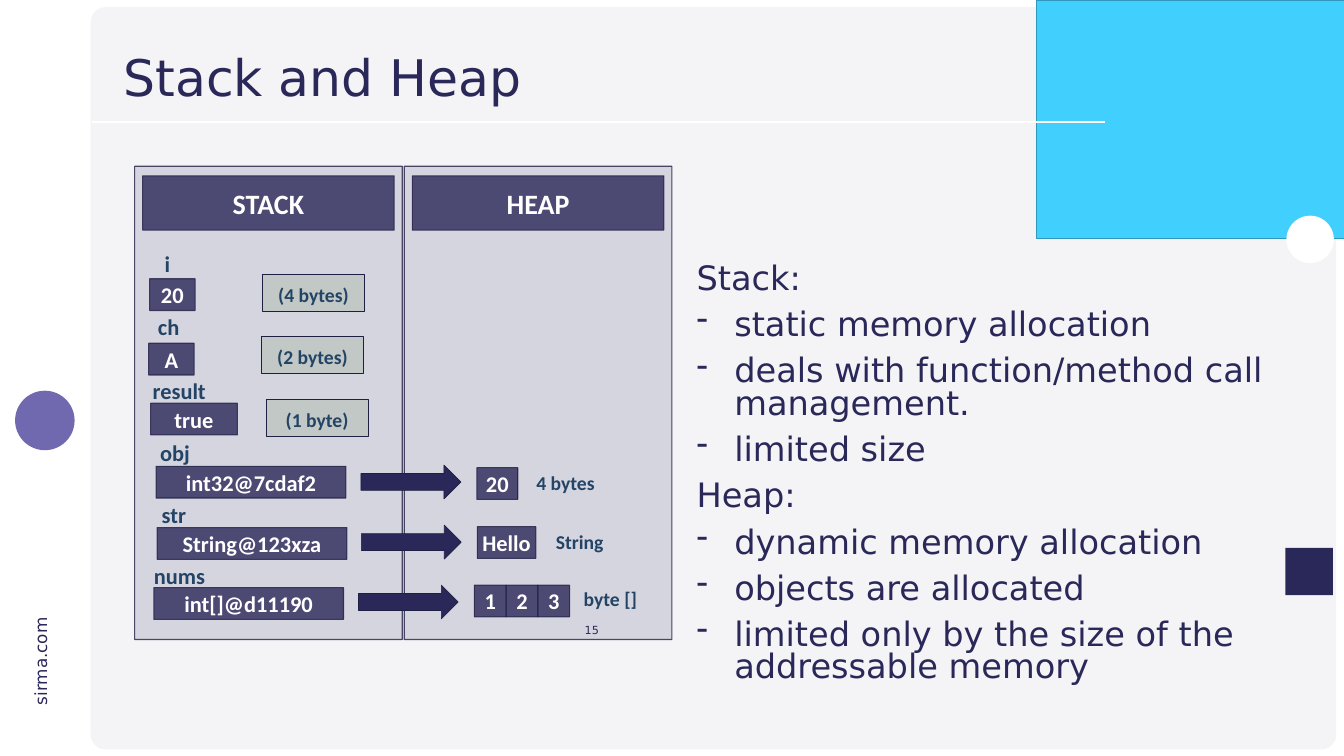
from lxml.etree import SubElement
from pptx import Presentation
from pptx.dml.color import RGBColor
from pptx.enum.shapes import MSO_CONNECTOR, MSO_SHAPE
from pptx.enum.text import MSO_ANCHOR as Anchor, MSO_AUTO_SIZE as AutoSize, PP_ALIGN as Align
from pptx.oxml.ns import qn
from pptx.util import Cm, Pt

NAVY = RGBColor(0x2A, 0x28, 0x59)
EDGE = RGBColor(0x1F, 0x1E, 0x43)
LABEL = RGBColor(0x23, 0x44, 0x65)
GREEN = RGBColor(0x54, 0x82, 0x35)
PALE = RGBColor(0xF4, 0xF4, 0xF7)
CYAN = RGBColor(0x41, 0xCF, 0xFD)
CYAN_EDGE = RGBColor(0x30, 0x99, 0xBB)
PURPLE = RGBColor(0x71, 0x69, 0xB0)
WHITE = RGBColor(0xFF, 0xFF, 0xFF)
SANS, CALIBRI = "DejaVu Sans", "Calibri"

# Content; positions in cm
TITLE = "Stack and Heap"
NOTES = [
    ("Stack:", ["static memory allocation",
                "deals with function/method call management.",
                "limited size"]),
    ("Heap:", ["dynamic memory allocation",
               "objects are allocated",
               "limited only by the size of the addressable memory"]),
]
COLUMNS = [("HEAP", 20.37), ("STACK", 6.78)]
# name, (left, top, width), value, (left, top, width), size note, (left, top)
VALUES = [
    ("i", (7.26, 12.19, 2.36), "20", (7.54, 14.05, 2.29), "(4 bytes)", (13.23, 13.82)),
    ("ch", (7.32, 15.37, 2.36), "A", (7.49, 17.3, 2.29), "(2 bytes)", (13.18, 16.97)),
    ("result", (7.11, 18.57, 3.84), "true", (7.59, 20.32, 4.37), "(1 byte)", (13.41, 20.12)),
]
# name, (left, top), address, (left, top), arrow (left, top),
# heap cells, (left, top, cell width), type, (left, top)
REFERENCES = [
    ("obj", (6.68, 21.67), "int32@7cdaf2", (7.87, 23.5), (18.19, 23.44),
     ["20"], (24.03, 23.57, 2.06), "4 bytes", (25.93, 23.29)),
    ("str", (6.63, 24.84), "String@123xza", (7.92, 26.59), (18.21, 26.47),
     ["Hello"], (24.05, 26.54, 2.95), "String", (26.64, 26.31)),
    ("nums", (6.91, 27.89), "int[]@d11190", (7.75, 29.62), (18.06, 29.49),
     ["1", "2", "3"], (23.9, 29.49, 1.6), "byte []", (28.19, 29.16)),
]
CELL_HEIGHT, NAME_HEIGHT, NOTE_HEIGHT = 1.6, 2.03, 1.85
NOTE_WIDTH, NAME_WIDTH, ADDRESS_WIDTH = 5.13, 4.27, 9.56
HEADER_INSET = 0.41


def set_font(paragraph, size, color, name=SANS, bold=False):
    font = paragraph.font
    font.size, font.name, font.bold = Pt(size), name, bold
    font.color.rgb = color


def set_alpha(fill_parent, percent):
    color = fill_parent.find(qn("a:solidFill"))[0]
    SubElement(color, qn("a:alpha")).set("val", str(percent * 1000))


def add_shape(page, kind, at, fill, line=None, weight=1, alpha=None, line_alpha=None):
    shape = page.shapes.add_shape(kind, *map(Cm, at))
    shape.shadow.inherit = False
    shape.fill.solid()
    shape.fill.fore_color.rgb = fill
    if alpha:
        set_alpha(shape._element.spPr, alpha)
    if line is None:
        shape.line.fill.background()
    else:
        shape.line.color.rgb = line
        shape.line.width = Pt(weight)
        if line_alpha:
            set_alpha(shape.line._get_or_add_ln(), line_alpha)
    return shape


def write(shape, text, size, color, name=CALIBRI, bold=True, align=Align.CENTER,
          anchor=Anchor.MIDDLE, wrap=True):
    frame = shape.text_frame
    frame.word_wrap = wrap
    frame.auto_size = AutoSize.NONE
    frame.vertical_anchor = anchor
    paragraph = frame.paragraphs[0]
    paragraph.text = text
    paragraph.alignment = align
    set_font(paragraph, size, color, name, bold)
    return paragraph


def add_block(page, at, text=None, size=32, alpha=80):
    """Translucent navy rectangle, with white text if any."""
    block = add_shape(page, MSO_SHAPE.RECTANGLE, at, NAVY, EDGE, 1.5, alpha, 80)
    if text:
        write(block, text, size, WHITE)


def write_label(shape, text, size):
    frame = shape.text_frame
    frame.margin_left = frame.margin_right = Cm(0.41)
    frame.margin_top = frame.margin_bottom = Cm(0.3)
    write(shape, text, size, LABEL, anchor=Anchor.TOP).line_spacing = 1.1


def add_label(page, at, text, size=32):
    write_label(page.shapes.add_textbox(*map(Cm, at)), text, size)


def add_background(page):
    panel = add_shape(page, MSO_SHAPE.ROUNDED_RECTANGLE, (4.57, 0.36, 62.76, 37.41), PALE)
    panel.adjustments[0] = 0.02
    site = page.shapes.add_textbox(Cm(-0.46), Cm(32.66), Cm(5), Cm(1.27))
    site.rotation = 270
    write(site, "sirma.com", 24, NAVY, SANS, False, Align.LEFT, Anchor.TOP, wrap=False)
    add_shape(page, MSO_SHAPE.RECTANGLE, (52.22, 0, 15.52, 12.01), CYAN, CYAN_EDGE)
    add_shape(page, MSO_SHAPE.RECTANGLE, (4.65, 1.35, 46.58, 6.05), PALE)
    rule = page.shapes.add_connector(MSO_CONNECTOR.STRAIGHT, Cm(4.65), Cm(6.17), Cm(55.7), Cm(6.17))
    rule.line.color.rgb = WHITE
    rule.line.width = Pt(3)
    SubElement(rule._element.spPr, qn("a:effectLst"))
    add_shape(page, MSO_SHAPE.RECTANGLE, (64.77, 27.61, 2.39, 2.39), NAVY)
    add_shape(page, MSO_SHAPE.OVAL, (0.76, 19.69, 3, 3), PURPLE)
    add_shape(page, MSO_SHAPE.OVAL, (64.82, 10.87, 2.39, 2.39), WHITE)


def add_title(page):
    title = page.shapes.title
    page.shapes._spTree.append(title._element)  # in front of the background
    title.left, title.top, title.width, title.height = map(Cm, (5.97, 2.03, 49.71, 4.01))
    write(title, TITLE, 72, NAVY, SANS, False, Align.LEFT).line_spacing = 0.9


def add_notes(page):
    frame = page.shapes.add_textbox(Cm(34.85), Cm(13.21), Cm(29.92), Cm(22.4)).text_frame
    frame.word_wrap = True
    lines = [(text, text != heading) for heading, points in NOTES for text in [heading, *points]]
    for index, (text, bulleted) in enumerate(lines):
        paragraph = frame.add_paragraph() if index else frame.paragraphs[0]
        paragraph.text = text
        if bulleted:
            properties = paragraph._p.get_or_add_pPr()
            properties.set("marL", str(Cm(1.9)))
            properties.set("indent", str(-Cm(1.9)))
            SubElement(properties, qn("a:buChar")).set("char", "-")
        paragraph.line_spacing = 0.8
        if index:
            paragraph.space_before = Pt(20)
        set_font(paragraph, 48, NAVY)


def add_memory(page):
    for heading, left in COLUMNS:
        add_block(page, (left, 8.38, 13.49, 23.85), alpha=15)
        add_block(page, (left + HEADER_INSET, 8.86, 13.49 - 2 * HEADER_INSET, 2.74), heading, 40)

    for name, (left, top, width), value, value_at, note, note_at in VALUES:
        add_block(page, (*value_at, CELL_HEIGHT), value)
        tag = add_shape(page, MSO_SHAPE.RECTANGLE, (*note_at, NOTE_WIDTH, NOTE_HEIGHT),
                        GREEN, EDGE, alpha=15)
        write_label(tag, note, 28)
        add_label(page, (left, top, width, NAME_HEIGHT), name)

    for name, name_at, address, address_at, arrow_at, cells, cells_at, kind, kind_at in REFERENCES:
        add_block(page, (*address_at, ADDRESS_WIDTH, CELL_HEIGHT), address)
        add_label(page, (*name_at, NAME_WIDTH, NAME_HEIGHT), name)
        add_shape(page, MSO_SHAPE.RIGHT_ARROW, (*arrow_at, 5.03, 1.7), NAVY, EDGE)
        left, top, width = cells_at
        for index, cell in enumerate(cells):
            add_block(page, (left + index * width, top, width, CELL_HEIGHT), cell)
        add_label(page, (*kind_at, NOTE_WIDTH, NOTE_HEIGHT), kind, 28)


def main():
    deck = Presentation()
    deck.slide_width, deck.slide_height = Cm(67.72), Cm(38.1)
    page = deck.slides.add_slide(deck.slide_layouts[5])
    add_background(page)
    add_notes(page)
    add_title(page)
    add_memory(page)
    number = page.shapes.add_textbox(Cm(28.78), Cm(30.91), Cm(1.65), Cm(1.32))
    write(number, "15", 16, NAVY, SANS, False, Align.RIGHT, Anchor.BOTTOM)
    deck.save("out.pptx")


if __name__ == "__main__":
    main()
